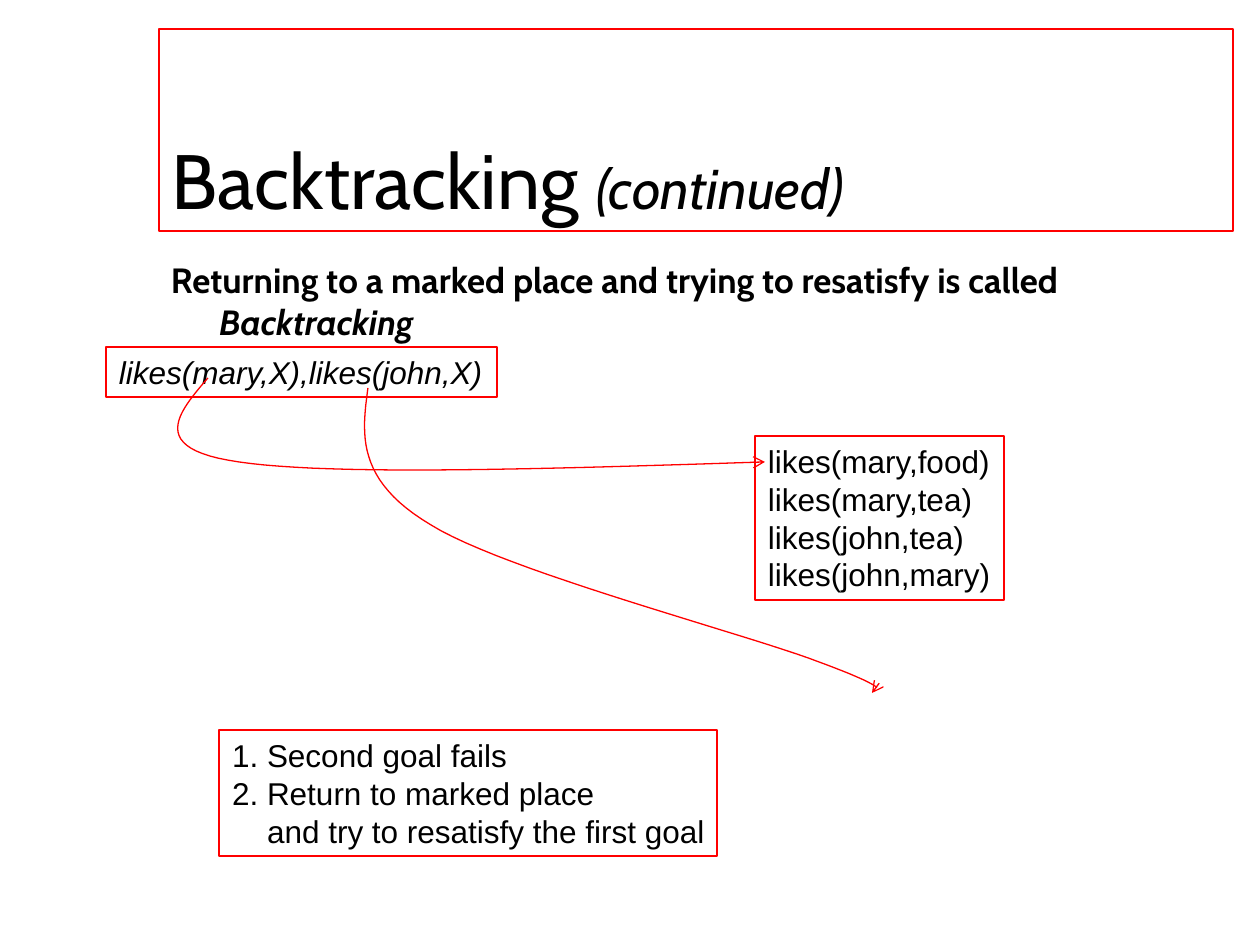
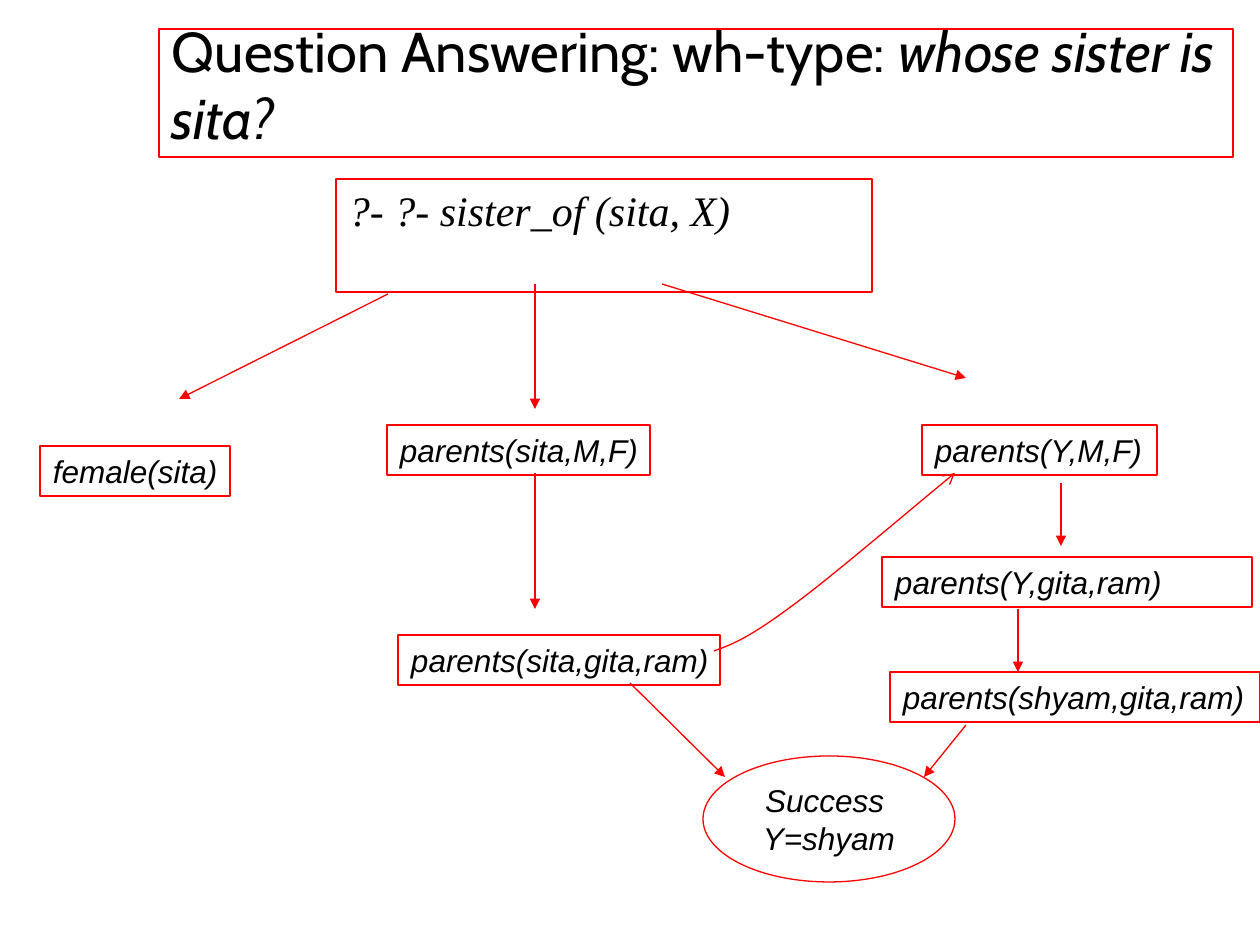
from dataclasses import dataclass
from typing import NamedTuple

from lxml.etree import SubElement
from pptx import Presentation
from pptx.dml.color import RGBColor
from pptx.enum.shapes import MSO_CONNECTOR as Connector, MSO_SHAPE as Preset
from pptx.enum.text import MSO_ANCHOR as Anchor, MSO_AUTO_SIZE as AutoSize, PP_ALIGN as Align
from pptx.oxml.ns import qn
from pptx.util import Emu, Pt

PX_PER_INCH = 126
COLOURS = {"ink": "000000", "outline": "FF0000", "paper": "FFFFFF"}
HEADING_FONT, CODE_FONT, QUERY_FONT = "Cabin", "Arial", "Times New Roman"
LINE_WIDTH = Pt(0.75)
INSET_X, INSET_Y = 13, 6
CURVE_STEPS = 24
TITLE_LEFT, TITLE_TOP, TITLE_WIDTH = 159, 29, 1074
BOX_HEIGHT = 50

Point = tuple[int, int]


class Run(NamedTuple):
    text: str
    size: int = 18
    italic: bool = False
    bold: bool = False
    font: str = CODE_FONT


class Line(NamedTuple):
    """One paragraph; margin and first-line indent in px, space before in points."""
    runs: list[Run]
    margin: int = 0
    indent: int = 0
    before: int = 0
    align: Align = Align.LEFT


class Arrow(NamedTuple):
    start: Point
    end: Point


@dataclass
class Box:
    left: int
    top: int
    width: int
    lines: list[Line]
    height: int = BOX_HEIGHT
    wraps: bool = False
    preset: Preset = Preset.RECTANGLE
    anchor: Anchor = Anchor.TOP


@dataclass
class Curve:
    """A chain of cubic Bezier segments: two controls and an end for each."""
    start: Point
    segments: list[tuple[Point, Point, Point]]

    def points(self) -> list[tuple[float, float]]:
        result = []
        begin = self.start
        for first, second, end in self.segments:
            for step in range(1, CURVE_STEPS + 1):
                t = step / CURVE_STEPS
                weights = ((1 - t) ** 3, 3 * t * (1 - t) ** 2, 3 * t ** 2 * (1 - t), t ** 3)
                corners = (begin, first, second, end)
                result.append(tuple(sum(w * corner[axis] for w, corner in zip(weights, corners))
                                    for axis in (0, 1)))
            begin = end
        return result


def px(length: float) -> Emu:
    return Emu(round(length * 914400 / PX_PER_INCH))


def colour(name: str) -> RGBColor:
    return RGBColor.from_string(COLOURS[name])


def code(text: str, italic: bool = True, **layout) -> Line:
    return Line([Run(text, italic=italic)], **layout)


def place(shape, left: int, top: int, width: int, height: int) -> None:
    shape.left, shape.top, shape.width, shape.height = map(px, (left, top, width, height))


def outline(shape, arrowhead: str = "") -> None:
    shape.line.color.rgb = colour("outline")
    shape.line.width = LINE_WIDTH
    if arrowhead:
        line = shape.element.spPr.find(qn("a:ln"))
        SubElement(line, qn("a:tailEnd"), type=arrowhead)


def write(shape, lines: list[Line], wraps: bool = True, anchor: Anchor = Anchor.TOP) -> None:
    frame = shape.text_frame
    frame.auto_size = AutoSize.NONE
    frame.word_wrap = wraps
    frame.vertical_anchor = anchor
    frame.margin_left = frame.margin_right = px(INSET_X)
    frame.margin_top = frame.margin_bottom = px(INSET_Y)
    for index, line in enumerate(lines):
        paragraph = frame.add_paragraph() if index else frame.paragraphs[0]
        paragraph.alignment = line.align
        paragraph.space_before = Pt(line.before)
        properties = paragraph._p.get_or_add_pPr()
        properties.set("marL", str(px(line.margin)))
        properties.set("indent", str(px(line.indent)))
        SubElement(properties, qn("a:buNone"))
        for piece in line.runs:
            run = paragraph.add_run()
            run.text = piece.text
            font = run.font
            font.name, font.size = piece.font, Pt(piece.size)
            font.bold, font.italic = piece.bold, piece.italic
            font.color.rgb = colour("ink")


def add_slide(presentation, layout: int, title_height: int, title: list[Run]):
    slide = presentation.slides.add_slide(presentation.slide_layouts[layout])
    slide.background.fill.solid()
    slide.background.fill.fore_color.rgb = colour("paper")
    shape = slide.shapes.title
    place(shape, TITLE_LEFT, TITLE_TOP, TITLE_WIDTH, title_height)
    outline(shape)
    write(shape, [Line(title)], anchor=Anchor.BOTTOM)
    return slide


def add_box(slide, box: Box) -> None:
    shape = slide.shapes.add_shape(box.preset, 0, 0, 0, 0)
    place(shape, box.left, box.top, box.width, box.height)
    shape.fill.background()
    outline(shape)
    shape.shadow.inherit = False
    write(shape, box.lines, box.wraps, box.anchor)


def add_arrow(slide, arrow: Arrow) -> None:
    connector = slide.shapes.add_connector(
        Connector.STRAIGHT, *map(px, arrow.start), *map(px, arrow.end))
    outline(connector, "triangle")
    SubElement(connector.element.spPr, qn("a:effectLst"))


def add_curve(slide, curve: Curve) -> None:
    builder = slide.shapes.build_freeform(*map(px, curve.start))
    builder.add_line_segments([(px(x), px(y)) for x, y in curve.points()], close=False)
    shape = builder.convert_to_shape()
    shape.fill.background()
    outline(shape, "arrow")
    shape.shadow.inherit = False


def build_backtracking(presentation) -> None:
    slide = add_slide(presentation, 1, 202, [
        Run("Backtracking ", 44, font=HEADING_FONT),
        Run("(continued)", 32, italic=True, font=HEADING_FONT)])
    body = slide.placeholders[1]
    place(body, 158, 252, 1071, 567)
    write(body, [Line([
        Run("Returning to a marked place and trying to resatisfy is called ", 20,
            bold=True, font=HEADING_FONT),
        Run("Backtracking", 20, italic=True, bold=True, font=HEADING_FONT),
    ], margin=48, indent=-48, before=5)])

    facts = ["likes(mary,food)", "likes(mary,tea)", "likes(john,tea)", "likes(john,mary)"]
    goals = Box(106, 347, 391, [code("likes(mary,X),likes(john,X)")])
    database = Box(755, 436, 249, [code(fact, italic=False) for fact in facts], height=164)
    steps = Box(219, 730, 498, [
        code("1. Second goal fails", italic=False),
        code("2. Return to marked place", italic=False),
        code("and try to resatisfy the first goal", italic=False, margin=35),
    ], height=126)
    for box in (goals, database, steps):
        add_box(slide, box)

    first_goal = Curve((208, 378), [
        ((178, 413), (147, 449), (239, 462)),
        ((333, 476), (548, 469), (765, 462))])
    second_goal = Curve((368, 388), [
        ((362, 433), (355, 480), (431, 525)),
        ((505, 571), (746, 634), (819, 662)),
        ((892, 689), (882, 692), (872, 693))])
    for curve in (first_goal, second_goal):
        add_curve(slide, curve)


def build_question_answering(presentation) -> None:
    slide = add_slide(presentation, 5, 128, [
        Run("Question Answering: wh-type: ", 32, font=HEADING_FONT),
        Run("whose sister is sita?", 32, italic=True, font=HEADING_FONT)])

    query = Line([Run("?- ?- sister_of (sita, X)", 24, italic=True, font=QUERY_FONT)], before=6)
    boxes = [
        Box(336, 179, 536, [query], height=113, wraps=True),
        Box(40, 446, 190, [code("female(sita)")]),
        Box(387, 425, 263, [code("parents(sita,M,F)")]),
        Box(922, 425, 235, [code("parents(Y,M,F)")]),
        Box(398, 635, 322, [code("parents(sita,gita,ram)")]),
        Box(882, 557, 370, [code("parents(Y,gita,ram)")], wraps=True),
        Box(890, 672, 370, [code("parents(shyam,gita,ram)")], wraps=True),
        Box(703, 756, 252,
            [code(text, align=Align.CENTER) for text in ("Success ", "Y=shyam")],
            height=126, preset=Preset.OVAL, anchor=Anchor.MIDDLE),
    ]
    for box in boxes:
        add_box(slide, box)

    arrows = [
        Arrow((388, 294), (179, 399)),
        Arrow((535, 284), (535, 409)),
        Arrow((662, 284), (966, 378)),
        Arrow((535, 473), (535, 609)),
        Arrow((1061, 483), (1061, 546)),
        Arrow((1018, 609), (1018, 672)),
        Arrow((630, 683), (725, 777)),
        Arrow((966, 725), (924, 777)),
    ]
    for arrow in arrows:
        add_arrow(slide, arrow)

    add_curve(slide, Curve((714, 651), [
        ((731, 645), (747, 639), (788, 609)),
        ((828, 580), (892, 525), (955, 473))]))


def main() -> None:
    presentation = Presentation()
    presentation.slide_width, presentation.slide_height = px(1260), px(945)
    build_backtracking(presentation)
    build_question_answering(presentation)
    presentation.save("out.pptx")


if __name__ == "__main__":
    main()
